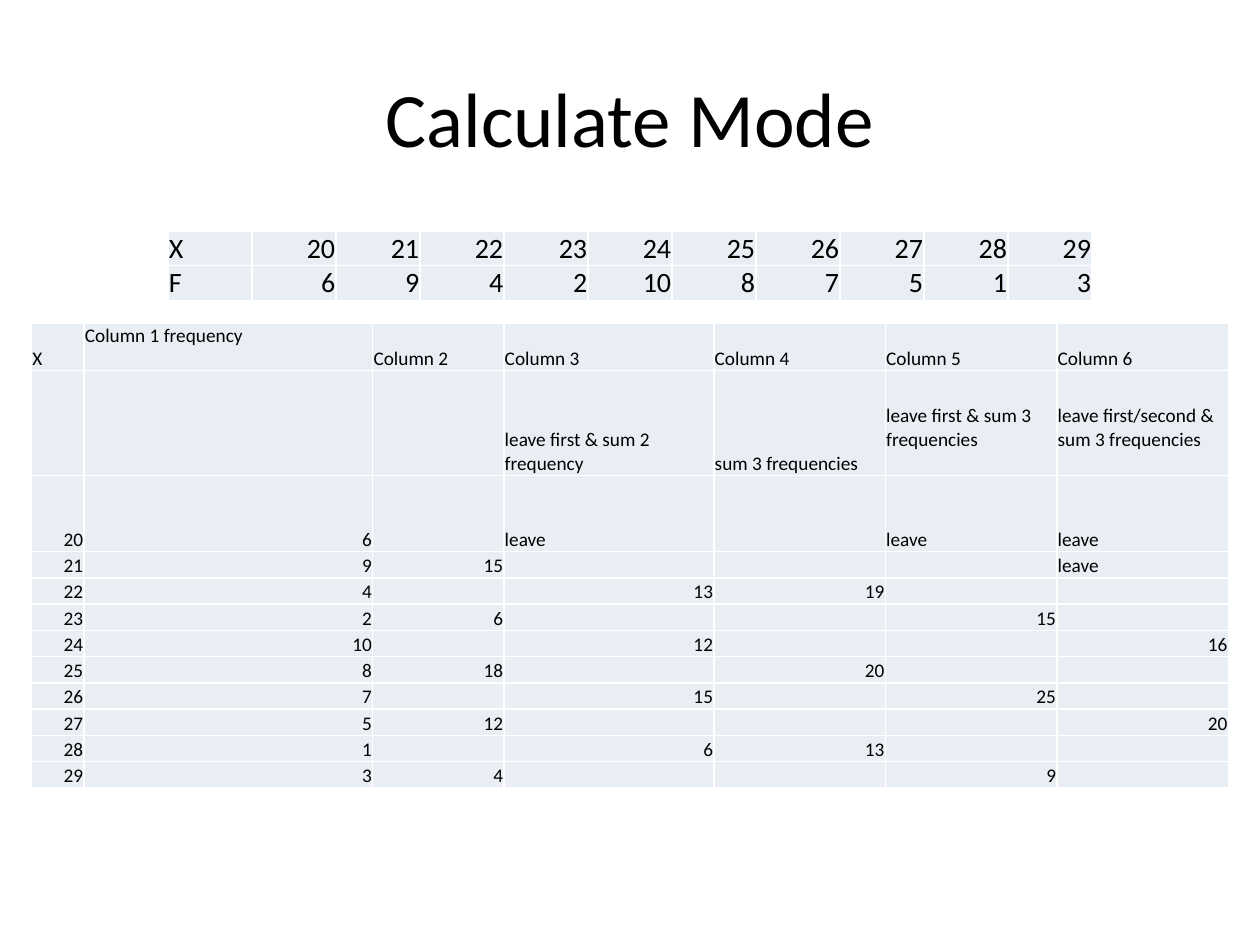
from dataclasses import dataclass

from lxml import etree
from pptx import Presentation
from pptx.dml.color import RGBColor
from pptx.enum import text
from pptx.oxml.ns import qn
from pptx.util import Pt


@dataclass(frozen=True)
class Theme:
    font: str = "Calibri"
    ink: str = "000000"
    cell: str = "E9EDF4"
    border: str = "FFFFFF"
    title: int = 44
    series: int = 16
    grouping: int = 11


THEME = Theme()
VALUES = list(range(20, 30))
FREQUENCIES = [6, 9, 4, 2, 10, 8, 7, 5, 1, 3]
# Grouping columns: (frequencies left out at the start, frequencies per sum)
GROUPINGS = [(0, 2), (1, 2), (0, 3), (1, 3), (2, 3)]
HEADER = ["X", "Column 1 frequency"] + [f"Column {n}" for n in range(2, 7)]
RULES = ["", "", "", "leave first & sum 2 frequency", "sum 3 frequencies",
         "leave first & sum 3 frequencies",
         "leave first/second & sum 3 frequencies"]


def style_run(r, size):
    r.font.name = THEME.font
    r.font.size = Pt(size)
    r.font.color.rgb = RGBColor.from_string(THEME.ink)


def add_title(slide, title):
    tf = slide.shapes.add_textbox(Pt(36), Pt(21.6), Pt(648), Pt(90)).text_frame
    tf.word_wrap = True
    tf.vertical_anchor = text.MSO_ANCHOR.MIDDLE
    p = tf.paragraphs[0]
    p.text = title
    p.alignment = text.PP_ALIGN.CENTER
    style_run(p.runs[0], THEME.title)


def add_borders(cell):
    tc_pr = cell._tc.get_or_add_tcPr()
    for i, side in enumerate(("lnL", "lnR", "lnT", "lnB")):
        ln = etree.Element(qn(f"a:{side}"), w=str(Pt(1)))
        fill = etree.SubElement(ln, qn("a:solidFill"))
        etree.SubElement(fill, qn("a:srgbClr"), val=THEME.border)
        tc_pr.insert(i, ln)


def fill_cell(cell, value, size):
    """Write one cell: numbers go right, words left, all at the bottom."""
    cell.fill.solid()
    cell.fill.fore_color.rgb = RGBColor.from_string(THEME.cell)
    add_borders(cell)
    cell.margin_left = cell.margin_right = Pt(0.5)
    cell.margin_top, cell.margin_bottom = Pt(0.2), Pt(0)
    cell.vertical_anchor = text.MSO_ANCHOR.BOTTOM
    p = cell.text_frame.paragraphs[0]
    if value == "":
        # An empty cell needs its own type size, or it stretches the row
        etree.SubElement(p._p, qn("a:endParaRPr"), sz=str(size * 100))
        return
    p.text = str(value)
    if isinstance(value, int):
        p.alignment = text.PP_ALIGN.RIGHT
    style_run(p.runs[0], size)


def add_table(slide, left, top, widths, heights, rows, size):
    frame = slide.shapes.add_table(len(rows), len(widths), Pt(left), Pt(top),
                                   Pt(sum(widths)), Pt(sum(heights)))
    table = frame.table
    table.first_row = table.horz_banding = False
    for column, width in zip(table.columns, widths):
        column.width = Pt(width)
    for row, height, values in zip(table.rows, heights, rows):
        row.height = Pt(height)
        for cell, value in zip(row.cells, values):
            fill_cell(cell, value, size)
    return table


def group_entry(i, skip, size):
    """Entry in row i: the sum of a group stands beside its last member."""
    if i < skip:
        return "leave"
    if (i - skip + 1) % size == 0:
        return sum(FREQUENCIES[i - size + 1:i + 1])
    return ""


def main():
    prs = Presentation()
    prs.slide_width, prs.slide_height = Pt(720), Pt(540)
    slide = prs.slides.add_slide(prs.slide_layouts[6])
    add_title(slide, "Calculate Mode")

    series = [["X"] + VALUES, ["F"] + FREQUENCIES]
    add_table(slide, 96, 132, [48] * 11, [19.8] * 2, series, THEME.series)

    body = [[x, f] + [group_entry(i, *grouping) for grouping in GROUPINGS]
            for i, (x, f) in enumerate(zip(VALUES, FREQUENCIES))]
    table = add_table(slide, 18, 184.8, [30, 165, 75, 120, 98, 98, 98],
                      [27, 60, 43.5] + [15] * 9, [HEADER, RULES] + body,
                      THEME.grouping)
    table.cell(0, 1).vertical_anchor = text.MSO_ANCHOR.TOP
    for column in (5, 6):
        table.cell(1, column).margin_bottom = Pt(13.5)

    prs.save("out.pptx")


if __name__ == "__main__":
    main()
